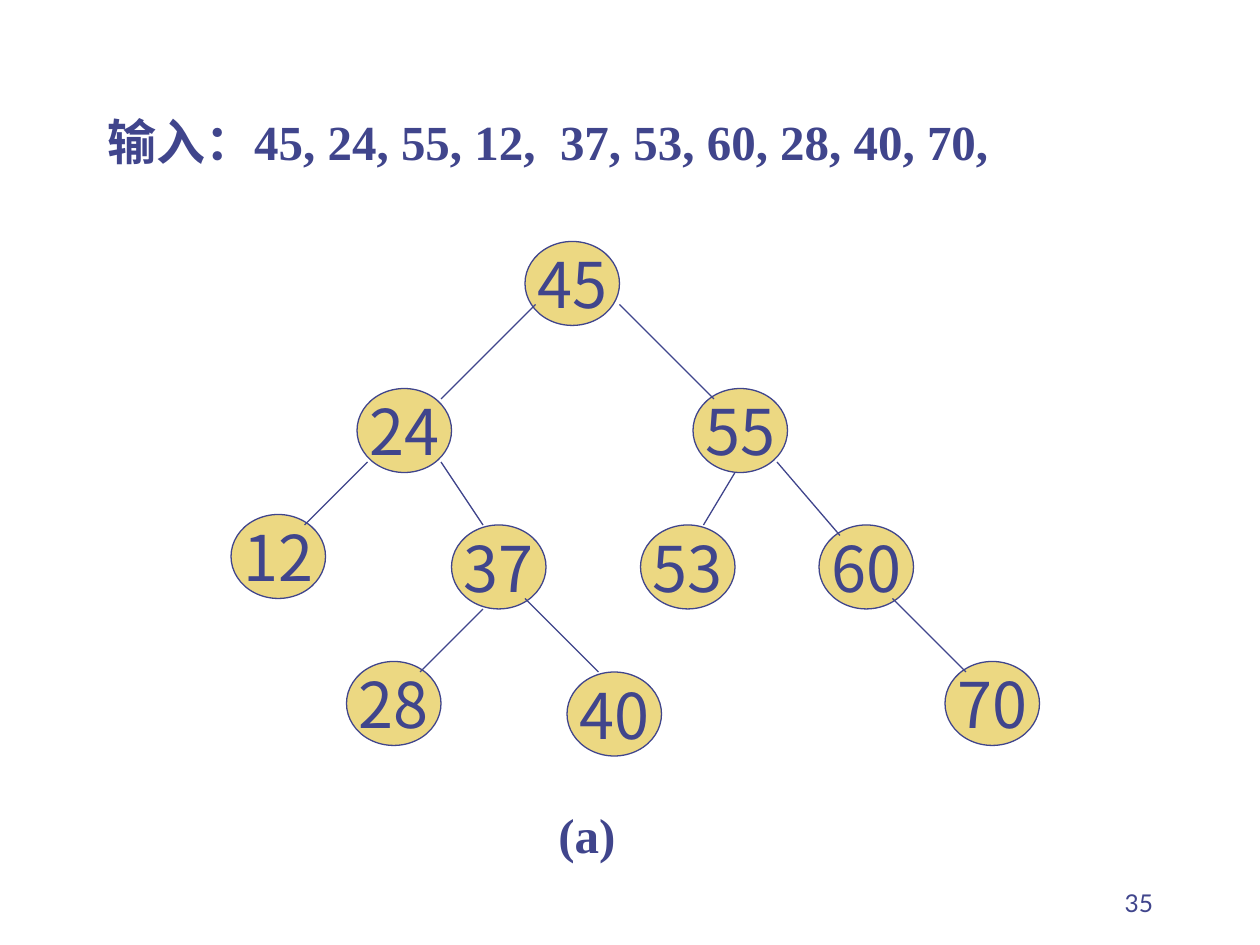
"""Build a slide showing a binary search tree and its input sequence."""
import pptx
import pptx.dml.color
import pptx.enum.shapes
import pptx.enum.text
import pptx.oxml
import pptx.oxml.ns
import pptx.util
from pptx.util import Cm

INDIGO = pptx.dml.color.RGBColor(0x40, 0x45, 0x8C)
SAND = pptx.dml.color.RGBColor(0xEC, 0xD8, 0x82)
ALIGN = pptx.enum.text.PP_ALIGN
ANCHOR = pptx.enum.text.MSO_ANCHOR
GRID = 2.54 / 12
NODE_WIDTH, NODE_HEIGHT = 9, 8


def on_grid(*steps):
    return [Cm(step * GRID) for step in steps]


def write(holder, text, frame_format, paragraph_format, font_format):
    frame = holder.text_frame
    paragraph = frame.paragraphs[0]
    run = paragraph.add_run()
    run.text = text
    run.font.color.rgb = INDIGO
    for target, values in (
        (frame, frame_format),
        (paragraph, paragraph_format),
        (run.font, font_format),
    ):
        for name, value in values.items():
            setattr(target, name, value)


deck = pptx.Presentation()
deck.slide_width, deck.slide_height = Cm(25.4), Cm(19.05)
slide = deck.slides.add_slide(deck.slide_layouts[6])

heading_font = {"name": "Times New Roman", "size": pptx.util.Pt(28), "bold": True}
number_font = {"name": "Lato", "size": pptx.util.Pt(14)}
node_font = {"name": "Noto Sans CJK JP", "size": pptx.util.Pt(36)}
heading_frame = {"word_wrap": True, "auto_size": pptx.enum.text.MSO_AUTO_SIZE.SHAPE_TO_FIT_TEXT}
heading_spacing = {"space_before": pptx.util.Pt(17.5), "alignment": ALIGN.LEFT}

labels = [
    ("35", (86, 82, 25, 6), {"word_wrap": True, "vertical_anchor": ANCHOR.BOTTOM},
     {"alignment": ALIGN.RIGHT}, number_font),
    (" 输入：45, 24, 55, 12,  37, 53, 60, 28, 40, 70,", (8, 10, 105.8, 6.8),
     heading_frame, heading_spacing, heading_font),
    ("(a)", (52, 76, 9, 6.8), heading_frame, heading_spacing, heading_font),
]
for text, area, frame_format, paragraph_format, font_format in labels:
    label = slide.shapes.add_textbox(*on_grid(*area))
    write(label, text, frame_format, paragraph_format, font_format)

tree = [
    ("45", (50, 23), None),
    ("24", (34, 37), (51, 29, 42, 38)),
    ("55", (66, 37), (59, 29, 68, 38)),
    ("12", (22, 49), (35, 44, 29, 50)),
    ("37", (43, 50), (42, 44, 46, 50)),
    ("60", (78, 50), (74, 44, 80, 51)),
    ("53", (61, 50), (70, 45, 67, 50)),
    ("28", (33, 63), (46, 58, 40, 64)),
    ("40", (54, 64), (50, 57, 57, 64)),
    ("70", (90, 63), (85, 57, 92, 64)),
]
for key, corner, branch_ends in tree:
    node = slide.shapes.add_shape(
        pptx.enum.shapes.MSO_SHAPE.OVAL, *on_grid(*corner, NODE_WIDTH, NODE_HEIGHT))
    node.shadow.inherit = False
    node.fill.solid()
    node.fill.fore_color.rgb = SAND
    write(node, key, {"word_wrap": False, "vertical_anchor": ANCHOR.MIDDLE},
          {"alignment": ALIGN.CENTER}, node_font)
    outlined = [node]
    if branch_ends:
        branch = slide.shapes.add_connector(
            pptx.enum.shapes.MSO_CONNECTOR.STRAIGHT, *on_grid(*branch_ends))
        properties = branch._element.spPr
        outlined.append(branch)
    for part in outlined:
        part.line.color.rgb = INDIGO
        part.line.width = pptx.util.Pt(0.75)
    if branch_ends:
        properties.append(pptx.oxml.parse_xml(
            "<a:effectLst %s/>" % pptx.oxml.ns.nsdecls("a")))

deck.save("out.pptx")
